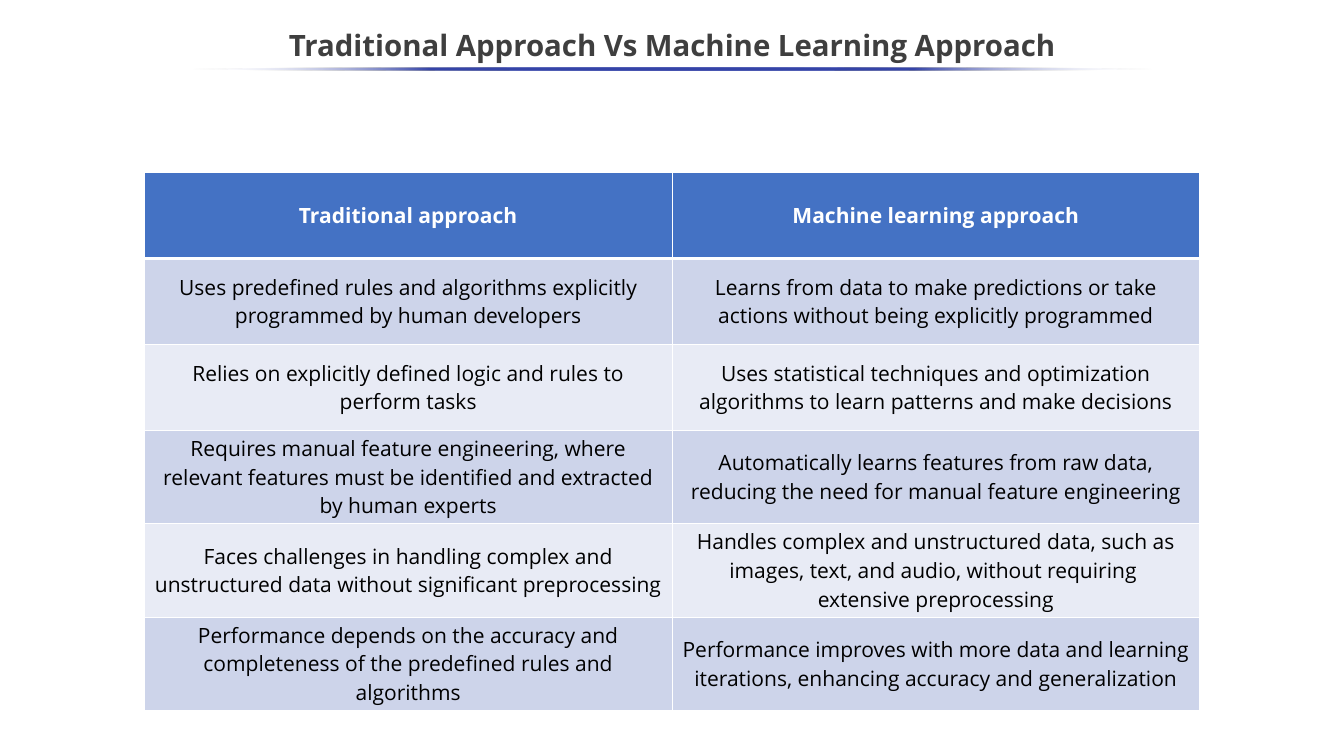
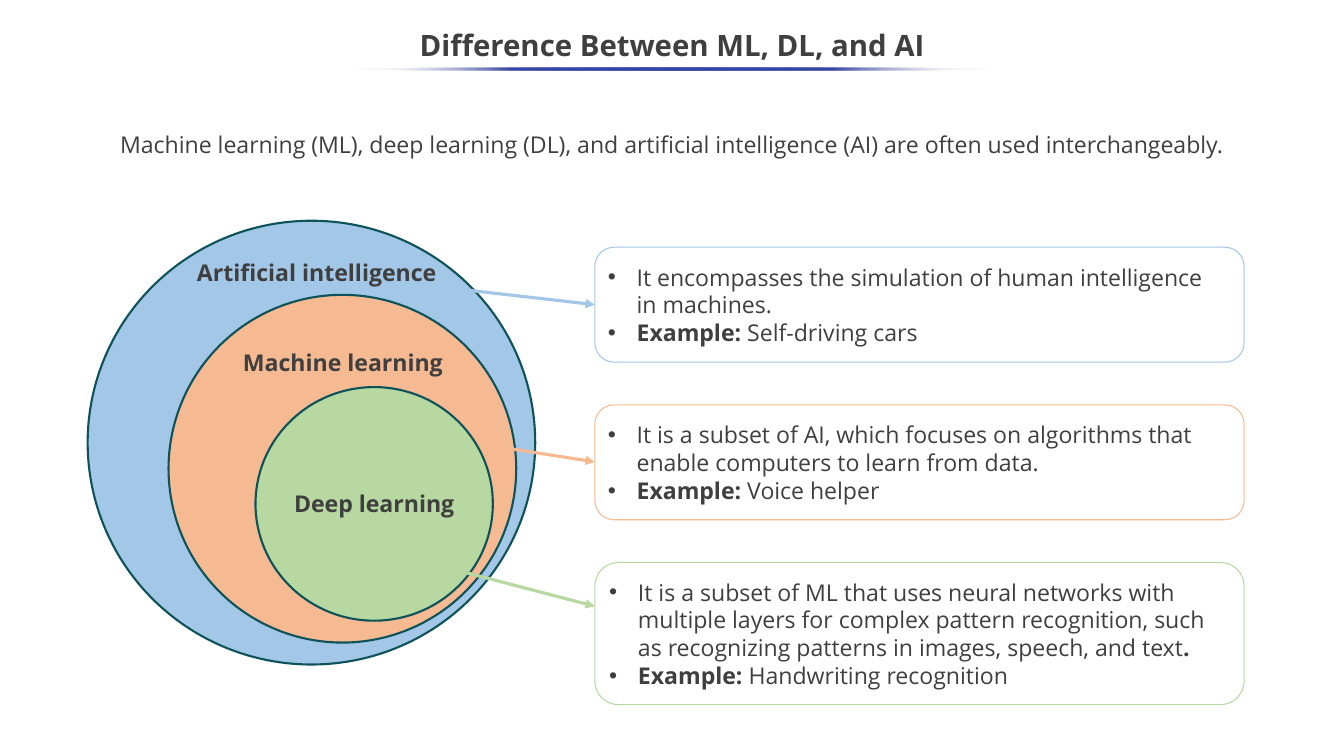
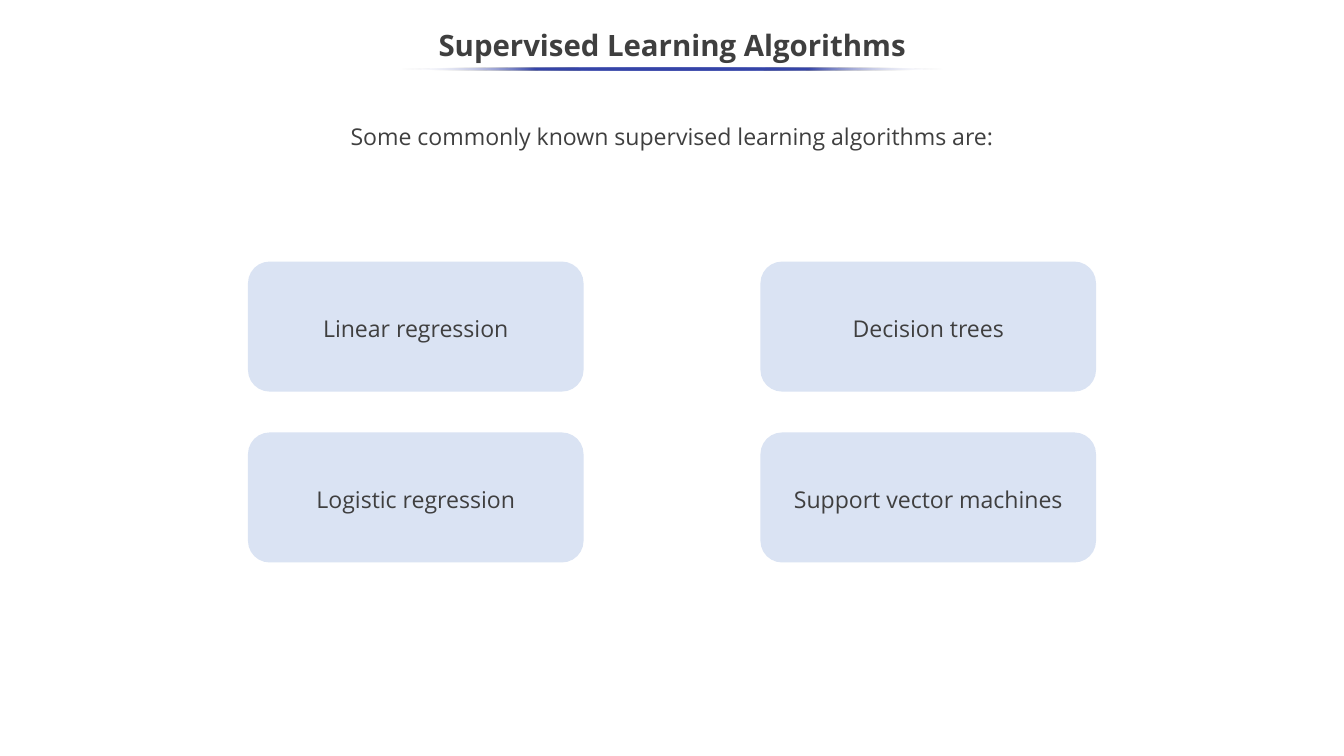
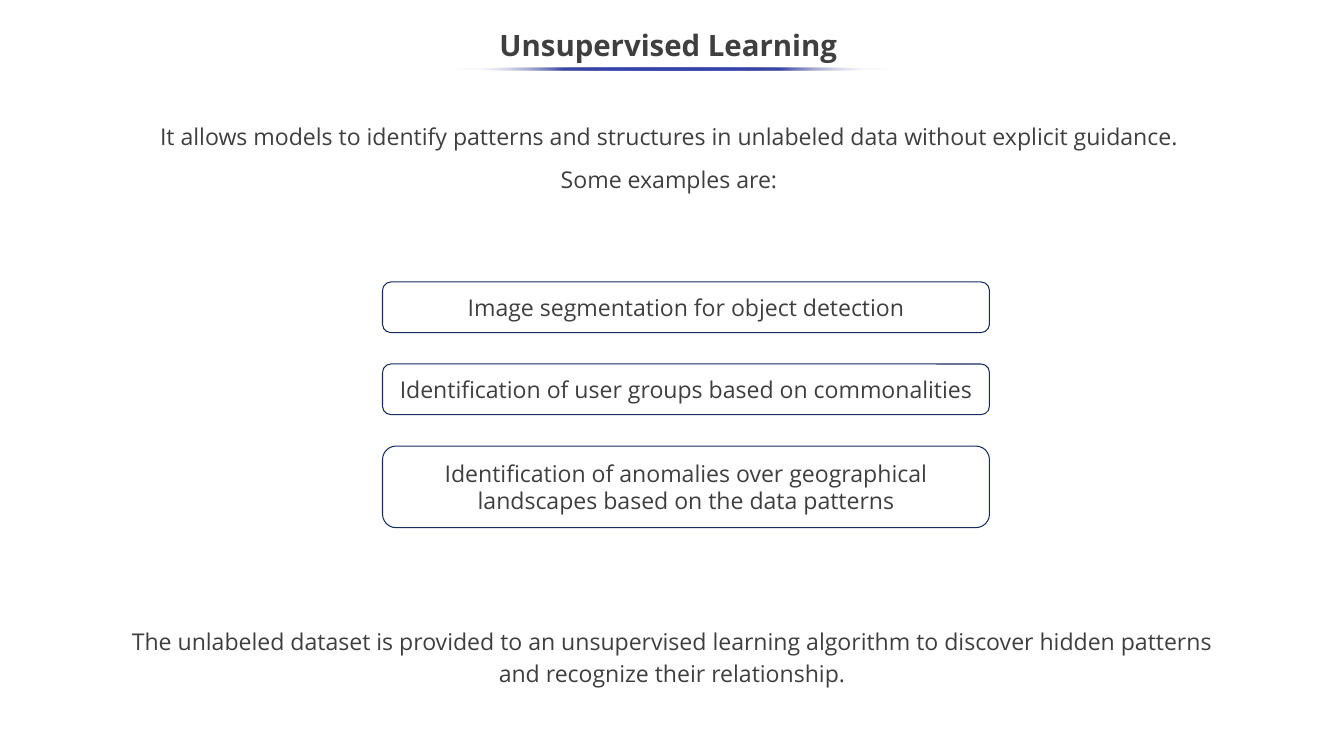
"""Build four slides that introduce machine learning."""
from dataclasses import dataclass
from typing import NamedTuple

from lxml import etree
from pptx import Presentation
from pptx.dml.color import RGBColor
from pptx.enum.shapes import MSO_CONNECTOR, MSO_SHAPE
from pptx.enum.text import MSO_ANCHOR, PP_ALIGN
from pptx.oxml import parse_xml
from pptx.oxml.ns import nsdecls, qn
from pptx.util import Inches, Pt

OVAL = MSO_SHAPE.OVAL
ROUNDED = MSO_SHAPE.ROUNDED_RECTANGLE
STRAIGHT = MSO_CONNECTOR.STRAIGHT
MIDDLE, TOP = MSO_ANCHOR.MIDDLE, MSO_ANCHOR.TOP
CENTER, LEFT = PP_ALIGN.CENTER, PP_ALIGN.LEFT
SLIDE_WIDTH, SLIDE_HEIGHT = Inches(17.78), Inches(10)


@dataclass(frozen=True)
class Theme:
    """Colours and type sizes of the deck."""

    font: str = "Open Sans"
    title_size: int = 28
    body_size: int = 22
    table_size: int = 20
    text: str = "3F3F3F"
    white: str = "FFFFFF"
    black: str = "000000"
    rule: str = "3645A9"
    header: str = "4472C4"
    bands: tuple[str, str] = ("CDD4EA", "E8EBF5")
    blue: str = "A3C7E7"
    orange: str = "F6BA92"
    green: str = "B7D8A0"
    outline: str = "0E535A"
    card: str = "DAE3F3"
    frame: str = "162E5D"


THEME = Theme()


class Area(NamedTuple):
    """Place on a grid of 100 columns by 100 rows."""

    column: float
    row: float
    columns: float
    rows: float


class Run(NamedTuple):
    """Piece of text of one weight."""

    text: str
    bold: bool = False


class Comparison(NamedTuple):
    """Table row with its height and the text of both approaches."""

    rows: float
    texts: tuple[str, str]


@dataclass(frozen=True)
class Topic:
    """Field of study with its circle, label, note and arrow."""

    name: str
    color: str
    circle: Area
    label: Area
    note_rows: float
    arrow_start: tuple[float, float]
    arrow_end_row: float
    note: tuple[tuple[Run, ...], ...]


TWO_LINES, THREE_LINES = 11.38, 12.35
COMPARISONS = (
    Comparison(TWO_LINES, ("Traditional approach", "Machine learning approach")),
    Comparison(TWO_LINES, (
        "Uses predefined rules and algorithms explicitly programmed by human developers",
        "Learns from data to make predictions or take actions without being explicitly programmed")),
    Comparison(TWO_LINES, (
        "Relies on explicitly defined logic and rules to perform tasks",
        "Uses statistical techniques and optimization algorithms to learn patterns and make "
        "decisions")),
    Comparison(THREE_LINES, (
        "Requires manual feature engineering, where relevant features must be identified and "
        "extracted by human experts",
        "Automatically learns features from raw data, reducing the need for manual feature "
        "engineering")),
    Comparison(THREE_LINES, (
        "Faces challenges in handling complex and unstructured data without significant "
        "preprocessing",
        "Handles complex and unstructured data, such as images, text, and audio, without "
        "requiring \nextensive preprocessing")),
    Comparison(THREE_LINES, (
        "Performance depends on the accuracy and completeness of the predefined rules and "
        "algorithms",
        "Performance improves with more data and learning iterations, enhancing accuracy and "
        "generalization")),
)

TOPICS = (
    Topic("Artificial intelligence", THEME.blue, Area(6.52, 29.2, 33.3, 58.7),
          Area(13.61, 31.9, 19.91, 8.3), 15.2, (32.9, 38), 40.3,
          ((Run("It encompasses the simulation of human intelligence\nin machines."),),
           (Run("Example: ", True), Run("Self-driving cars")))),
    Topic("Machine learning", THEME.orange, Area(12.54, 39, 25.87, 46),
          Area(16.2, 43.8, 18.62, 8.3), 15.2, (36.33, 58.9), 61.1,
          ((Run("It is a subset of AI, which focuses on algorithms that enable computers "
                "to learn from data."),),
           (Run("Example: ", True), Run("Voice helper")))),
    Topic("Deep learning", THEME.green, Area(19.01, 51.2, 17.66, 30.9),
          Area(20.64, 62.4, 14.4, 8.3), 18.8, (31.78, 74.4), 80.2,
          ((Run("It is a subset of ML that uses neural networks with multiple layers for complex "
                "pattern recognition, such as recognizing patterns in images, speech, and text"),
            Run(".", True)),
           (Run("Example:", True), Run(" Handwriting recognition")))),
)
NOTE_COLUMN, NOTE_COLUMNS, NOTE_TOP, NOTE_GAP = 44.26, 48.31, 32.7, 5.65

ALGORITHMS = (("Linear regression", "Decision trees"),
              ("Logistic regression", "Support vector machines"))
FIRST_CARD = Area(18.45, 34.6, 24.97, 17.2)
CARD_COLUMN_STEP, CARD_ROW_STEP = 38.13, 22.6

EXAMPLES = (
    ("Image segmentation for object detection", 6.7),
    ("Identification of user groups based on commonalities", 6.7),
    ("Identification of anomalies over geographical landscapes based on the data patterns", 10.8),
)
EXAMPLE_TOP, EXAMPLE_GAP = 37.3, 4.15


def across(columns: float) -> int:
    """Convert grid columns to a length."""
    return round(SLIDE_WIDTH * columns / 100)


def down(rows: float) -> int:
    """Convert grid rows to a length."""
    return round(SLIDE_HEIGHT * rows / 100)


def place(area: Area) -> tuple[int, int, int, int]:
    """Convert an area to left, top, width and height."""
    return across(area.column), down(area.row), across(area.columns), down(area.rows)


def color_of(value: str) -> RGBColor:
    """Convert a hexadecimal colour."""
    return RGBColor.from_string(value)


def add_bullet(paragraph) -> None:
    """Give a paragraph a hanging round bullet."""
    properties = paragraph._p.get_or_add_pPr()
    indent = across(2.14)
    properties.set("marL", str(indent))
    properties.set("indent", str(-indent))
    color = etree.SubElement(etree.SubElement(properties, qn("a:buClr")), qn("a:srgbClr"))
    color.set("val", THEME.text)
    etree.SubElement(properties, qn("a:buFont")).set("typeface", "Arial")
    etree.SubElement(properties, qn("a:buChar")).set("char", "•")


def write(frame, *paragraphs: str | tuple[Run, ...], size: int = THEME.body_size,
          color: str = THEME.text, bold: bool = False, align=CENTER, anchor=MIDDLE,
          spacing: float | None = None, before: float = 0, bullets: bool = False) -> None:
    """Write paragraphs of plain text or runs into a text frame."""
    frame.word_wrap = True
    frame.vertical_anchor = anchor
    for number, content in enumerate(paragraphs):
        paragraph = frame.add_paragraph() if number else frame.paragraphs[0]
        if bullets:
            add_bullet(paragraph)
        paragraph.alignment = align
        if spacing:
            paragraph.line_spacing = spacing
        if number and before:
            paragraph.space_before = Pt(before)
        for piece in (Run(content, bold),) if isinstance(content, str) else content:
            for line_number, line in enumerate(piece.text.split("\n")):
                if line_number:
                    paragraph.add_line_break()
                run = paragraph.add_run()
                run.text = line
                run.font.name = THEME.font
                run.font.size = Pt(size)
                run.font.bold = piece.bold
                run.font.color.rgb = color_of(color)


def add_panel(slide, kind, area: Area, fill: str | None = None, line: str | None = None,
              line_width: float = 1, corner: float | None = None):
    """Draw a flat preset shape."""
    shape = slide.shapes.add_shape(kind, *place(area))
    shape.shadow.inherit = False
    if corner is not None:
        shape.adjustments[0] = corner
    if fill:
        shape.fill.solid()
        shape.fill.fore_color.rgb = color_of(fill)
    else:
        shape.fill.background()
    if line:
        shape.line.color.rgb = color_of(line)
        shape.line.width = Pt(line_width)
    else:
        shape.line.fill.background()
    return shape


def add_text(slide, area: Area, text: str, **text_format) -> None:
    """Add a text box."""
    write(slide.shapes.add_textbox(*place(area)).text_frame, text, **text_format)


def add_rule(slide, columns: float) -> None:
    """Draw the centred title rule that fades at both ends."""
    shape = add_panel(slide, OVAL, Area(50 - columns / 2, 8.9, columns, 0.4), THEME.rule)
    ends = f'<a:srgbClr val="{THEME.white}"><a:alpha val="0"/></a:srgbClr>'
    core = f'<a:srgbClr val="{THEME.rule}"/>'
    stops = "".join(f'<a:gs pos="{number * 25000}">{color}</a:gs>'
                    for number, color in enumerate((ends, core, core, core, ends)))
    gradient = parse_xml(f'<a:gradFill {nsdecls("a")} rotWithShape="1"><a:gsLst>{stops}</a:gsLst>'
                         '<a:lin ang="10800000" scaled="0"/></a:gradFill>')
    properties = shape._element.spPr
    properties.replace(properties.find(qn("a:solidFill")), gradient)


def add_slide(presentation, title: str, rule_columns: float):
    """Add a blank slide with its title and rule."""
    slide = presentation.slides.add_slide(presentation.slide_layouts[6])
    add_text(slide, Area(0, 2.5, 100, 7.5), title, size=THEME.title_size, bold=True, spacing=0.9)
    add_rule(slide, rule_columns)
    return slide


def add_statement(slide, row: float, *paragraphs: str) -> None:
    """Add a wide centred statement."""
    shape = add_panel(slide, ROUNDED, Area(7.82, row, 84.36, 10.7), corner=0.118)
    write(shape.text_frame, *paragraphs, anchor=TOP, spacing=1.15, before=11)


def add_arrow(slide, start: tuple[float, float], end: tuple[float, float], color: str) -> None:
    """Draw a straight arrow between two grid points."""
    connector = slide.shapes.add_connector(STRAIGHT, across(start[0]), down(start[1]),
                                           across(end[0]), down(end[1]))
    connector.line.color.rgb = color_of(color)
    connector.line.width = Pt(3)
    etree.SubElement(connector.line._get_or_add_ln(), qn("a:tailEnd")).set("type", "triangle")
    etree.SubElement(connector._element.spPr, qn("a:effectLst"))


def set_borders(cell, is_header: bool) -> None:
    """Give a cell white borders, thicker under the header."""
    properties = cell._tc.get_or_add_tcPr()
    for position, side in enumerate(("lnL", "lnR", "lnT", "lnB")):
        width = Pt(3 if is_header and side == "lnB" else 1)
        properties.insert(position, parse_xml(
            f'<a:{side} {nsdecls("a")} w="{width}"><a:solidFill>'
            f'<a:srgbClr val="{THEME.white}"/></a:solidFill></a:{side}>'))


def build_comparison(presentation) -> None:
    """Build the table of the two approaches."""
    slide = add_slide(presentation, "Traditional Approach Vs Machine Learning Approach", 71.65)
    area = Area(10.74, 22.8, 78.52, sum(comparison.rows for comparison in COMPARISONS))
    table = slide.shapes.add_table(len(COMPARISONS), 2, *place(area)).table
    for row_number, comparison in enumerate(COMPARISONS):
        is_header = row_number == 0
        table.rows[row_number].height = down(comparison.rows)
        for column_number, text in enumerate(comparison.texts):
            cell = table.cell(row_number, column_number)
            cell.fill.solid()
            fill = THEME.header if is_header else THEME.bands[(row_number - 1) % 2]
            cell.fill.fore_color.rgb = color_of(fill)
            cell.vertical_anchor = MIDDLE
            write(cell.text_frame, text, size=THEME.table_size, bold=is_header,
                  color=THEME.white if is_header else THEME.black)
            set_borders(cell, is_header)


def build_difference(presentation) -> None:
    """Build the nested circles with their notes."""
    slide = add_slide(presentation, "Difference Between ML, DL, and AI", 47.75)
    add_statement(slide, 15.8, "Machine learning (ML), deep learning (DL), and artificial "
                               "intelligence (AI) are often used interchangeably.")
    for topic in TOPICS:
        add_panel(slide, OVAL, topic.circle, topic.color, THEME.outline, 2)
    row = NOTE_TOP
    for topic in TOPICS:
        add_text(slide, topic.label, topic.name, bold=True)
        note = add_panel(slide, ROUNDED, Area(NOTE_COLUMN, row, NOTE_COLUMNS, topic.note_rows),
                         line=topic.color)
        write(note.text_frame, *topic.note, align=LEFT, bullets=True)
        add_arrow(slide, topic.arrow_start, (NOTE_COLUMN, topic.arrow_end_row), topic.color)
        row += topic.note_rows + NOTE_GAP


def build_algorithms(presentation) -> None:
    """Build the grid of supervised algorithms."""
    slide = add_slide(presentation, "Supervised Learning Algorithms", 40.33)
    add_statement(slide, 14.8, "Some commonly known supervised learning algorithms are:")
    for row_number, names in enumerate(ALGORITHMS):
        for column_number, name in enumerate(names):
            area = FIRST_CARD._replace(
                column=FIRST_CARD.column + column_number * CARD_COLUMN_STEP,
                row=FIRST_CARD.row + row_number * CARD_ROW_STEP)
            card = add_panel(slide, ROUNDED, area, THEME.card)
            write(card.text_frame, name, spacing=1.14)


def build_unsupervised(presentation) -> None:
    """Build the stack of unsupervised examples."""
    slide = add_slide(presentation, "Unsupervised Learning ", 32.11)
    add_statement(slide, 14.8, "It allows models to identify patterns and structures in unlabeled "
                               "data without explicit guidance. ", "Some examples are: ")
    row = EXAMPLE_TOP
    for text, rows in EXAMPLES:
        shape = add_panel(slide, ROUNDED, Area(28.46, row, 45.16, rows), line=THEME.frame)
        frame = shape.text_frame
        frame.margin_left = frame.margin_right = across(0.67)
        frame.margin_top = frame.margin_bottom = down(1.2)
        write(frame, text, anchor=TOP)
        row += rows + EXAMPLE_GAP
    add_statement(slide, 81.6, "The unlabeled dataset is provided to an unsupervised learning "
                               "algorithm to discover hidden patterns and recognize their "
                               "relationship.")


def main() -> None:
    """Build and save the deck."""
    presentation = Presentation()
    presentation.slide_width, presentation.slide_height = SLIDE_WIDTH, SLIDE_HEIGHT
    build_comparison(presentation)
    build_difference(presentation)
    build_algorithms(presentation)
    build_unsupervised(presentation)
    presentation.save("out.pptx")


if __name__ == "__main__":
    main()
